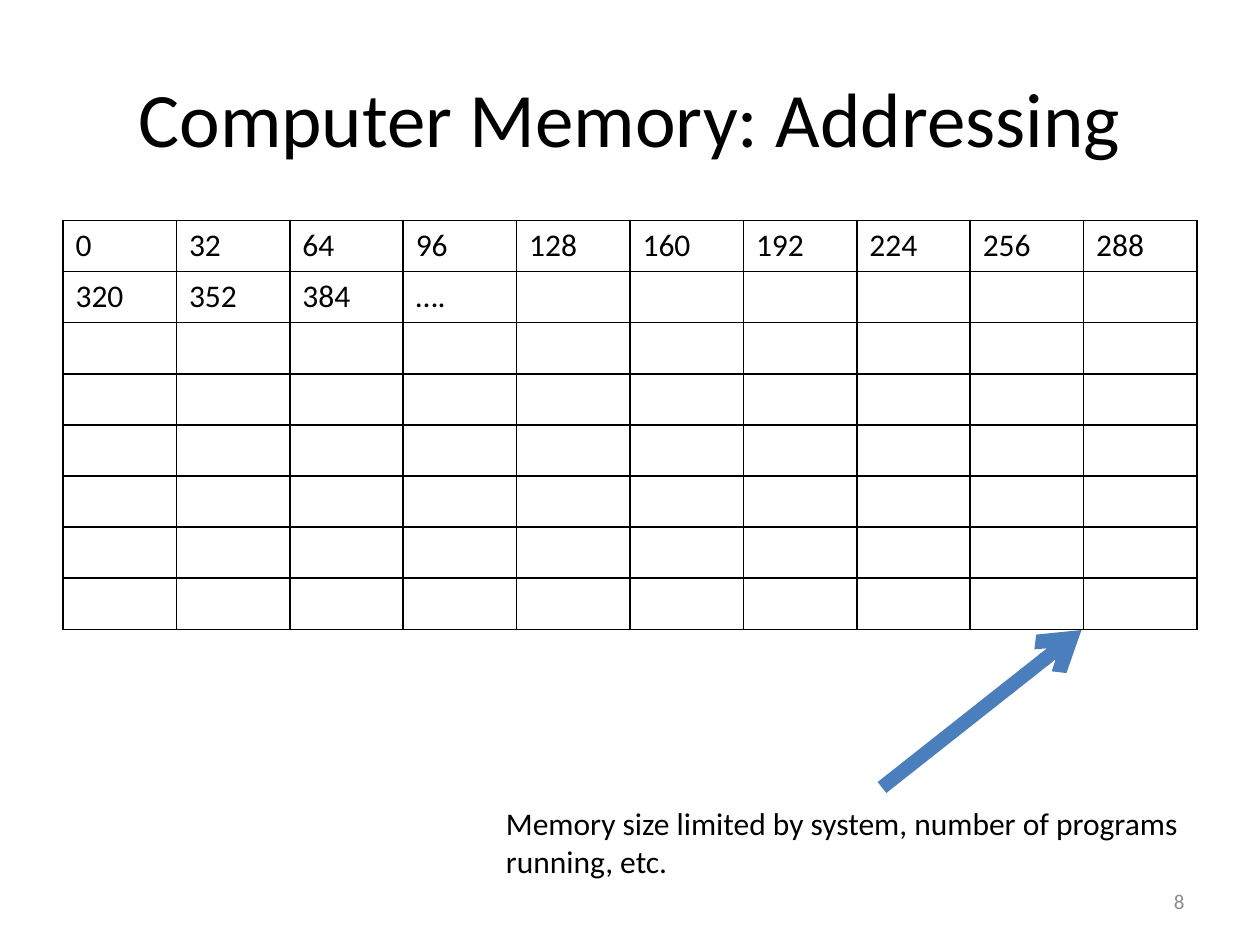
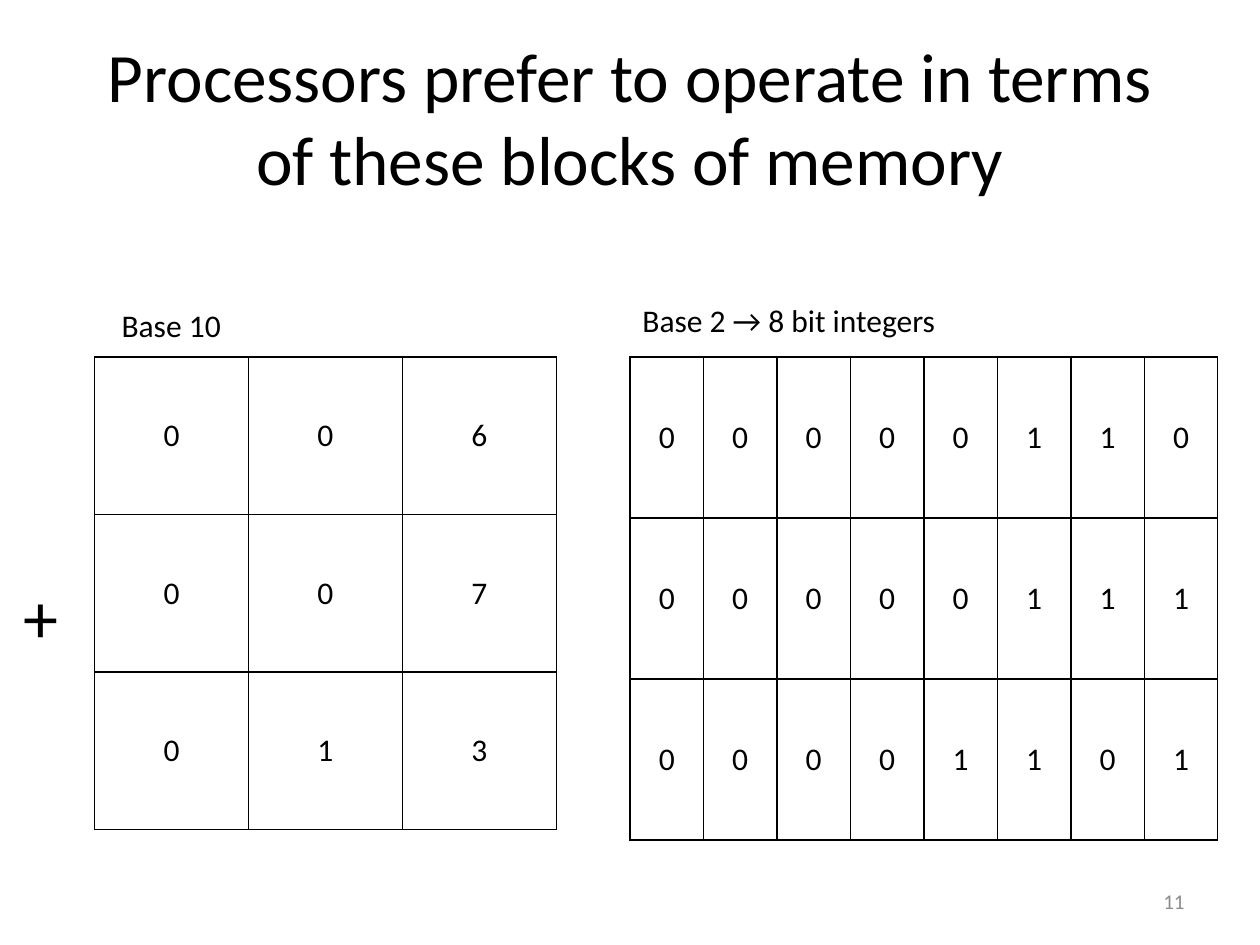
from dataclasses import dataclass
from typing import Any

import pptx
import pptx.dml.color
import pptx.enum.shapes
import pptx.enum.text
import pptx.oxml
import pptx.oxml.ns
import pptx.util

RGBColor = pptx.dml.color.RGBColor
Align = pptx.enum.text.PP_ALIGN
Anchor = pptx.enum.text.MSO_ANCHOR
AutoSize = pptx.enum.text.MSO_AUTO_SIZE

BLACK = RGBColor(0x00, 0x00, 0x00)
WHITE = RGBColor(0xFF, 0xFF, 0xFF)
GREY = RGBColor(0x8C, 0x8C, 0x8C)
ARROW_BLUE = RGBColor(0x4B, 0x7E, 0xBC)
FONT = "Calibri"
BODY_SIZE = 18

# The slide is a grid of 120 columns and 90 rows, all of the same size.
SLIDE_WIDTH = pptx.util.Inches(10)
SLIDE_HEIGHT = pptx.util.Inches(7.5)
COLUMNS, ROWS = 120, 90

BORDER_WIDTH = pptx.util.Pt(1)
BORDER_SIDES = ("lnL", "lnR", "lnT", "lnB")


@dataclass(frozen=True)
class Area:
    """A place on the slide, in grid columns and rows."""
    column: float
    row: float
    columns: float
    rows: float

    def lengths(self) -> tuple[int, int, int, int]:
        return (across(self.column), down(self.row),
                across(self.columns), down(self.rows))


@dataclass(frozen=True)
class Label:
    area: Area
    lines: tuple[str, ...]
    size: float = BODY_SIZE
    color: RGBColor = BLACK
    align: Any = Align.LEFT
    anchor: Any = Anchor.TOP
    wraps: bool = False


@dataclass(frozen=True)
class Grid:
    area: Area
    cells: tuple[tuple[str, ...], ...]
    align: Any = Align.CENTER
    anchor: Any = Anchor.MIDDLE


@dataclass(frozen=True)
class Arrow:
    start: tuple[float, float]
    end: tuple[float, float]
    color: RGBColor
    width: float


TITLE_AREA = Area(6, 3.6, 108, 15)
NUMBER_AREA = Area(86, 83.4, 28, 4.8)

WORD_BITS = 32
ADDRESS_COLUMNS, ADDRESS_ROWS = 10, 8
ADDRESSES = [str(WORD_BITS * word) for word in range(13)] + ["…."]


def across(columns: float) -> int:
    return round(SLIDE_WIDTH * columns / COLUMNS)


def down(rows: float) -> int:
    return round(SLIDE_HEIGHT * rows / ROWS)


def set_values(target: Any, values: dict[str, Any]) -> None:
    for name, value in values.items():
        setattr(target, name, value)


def write(paragraph: Any, text: str, size: float, color: RGBColor, align: Any) -> None:
    paragraph.alignment = align
    if text:
        run = paragraph.add_run()
        run.text = text
        set_values(run.font, {"name": FONT, "size": pptx.util.Pt(size)})
        run.font.color.rgb = color


def draw_label(slide: Any, label: Label) -> None:
    frame = slide.shapes.add_textbox(*label.area.lengths()).text_frame
    set_values(frame, {
        "word_wrap": label.wraps,
        "auto_size": AutoSize.NONE if label.wraps else AutoSize.SHAPE_TO_FIT_TEXT,
        "vertical_anchor": label.anchor,
    })
    for index, line in enumerate(label.lines):
        paragraph = frame.add_paragraph() if index else frame.paragraphs[0]
        write(paragraph, line, label.size, label.color, label.align)


def add_borders(cell: Any) -> None:
    """Put the four side lines ahead of the fill, as the file format asks."""
    properties = cell._tc.get_or_add_tcPr()
    for index, side in enumerate(BORDER_SIDES):
        properties.insert(index, pptx.oxml.parse_xml(
            f'<a:{side} {pptx.oxml.ns.nsdecls("a")} w="{BORDER_WIDTH}">'
            f'<a:solidFill><a:srgbClr val="{BLACK}"/></a:solidFill></a:{side}>'))


def draw_grid(slide: Any, grid: Grid) -> None:
    row_count, column_count = len(grid.cells), len(grid.cells[0])
    table = slide.shapes.add_table(row_count, column_count, *grid.area.lengths()).table
    set_values(table, {"first_row": False, "horz_banding": False})
    for column in table.columns:
        column.width = across(grid.area.columns / column_count)
    for row, texts in zip(table.rows, grid.cells):
        row.height = down(grid.area.rows / row_count)
        for cell, text in zip(row.cells, texts):
            cell.fill.background()
            cell.vertical_anchor = grid.anchor
            write(cell.text_frame.paragraphs[0], text, BODY_SIZE, BLACK, grid.align)
            add_borders(cell)


def draw_arrow(slide: Any, arrow: Arrow) -> None:
    connector = slide.shapes.add_connector(
        pptx.enum.shapes.MSO_CONNECTOR.STRAIGHT,
        across(arrow.start[0]), down(arrow.start[1]),
        across(arrow.end[0]), down(arrow.end[1]))
    connector.line.color.rgb = arrow.color
    connector.line.width = pptx.util.Pt(arrow.width)
    namespace = pptx.oxml.ns.nsdecls("a")
    connector.line._get_or_add_ln().append(
        pptx.oxml.parse_xml(f'<a:tailEnd {namespace} type="arrow"/>'))
    connector._element.spPr.append(pptx.oxml.parse_xml(f"<a:effectLst {namespace}/>"))


def add_slide(presentation: Any, title: str, title_size: float, number: int) -> Any:
    """Add a blank slide with the shared background, title and slide number."""
    slide = presentation.slides.add_slide(presentation.slide_layouts[6])
    slide.background.fill.solid()
    slide.background.fill.fore_color.rgb = WHITE
    draw_label(slide, Label(TITLE_AREA, (title,), title_size, align=Align.CENTER,
                            anchor=Anchor.MIDDLE, wraps=True))
    draw_label(slide, Label(NUMBER_AREA, (str(number),), 12, GREY, Align.RIGHT,
                            Anchor.MIDDLE, wraps=True))
    return slide


def address_rows() -> tuple[tuple[str, ...], ...]:
    blanks = [""] * (ADDRESS_COLUMNS * ADDRESS_ROWS - len(ADDRESSES))
    texts = ADDRESSES + blanks
    return tuple(tuple(texts[start:start + ADDRESS_COLUMNS])
                 for start in range(0, len(texts), ADDRESS_COLUMNS))


def digit_rows(*numbers: str) -> tuple[tuple[str, ...], ...]:
    return tuple(tuple(number) for number in numbers)


def build_addressing(presentation: Any) -> None:
    slide = add_slide(presentation, "Computer Memory: Addressing", 44, 8)
    draw_grid(slide, Grid(Area(6, 21, 108, 38.93), address_rows(),
                          Align.LEFT, Anchor.TOP))
    draw_arrow(slide, Arrow((84, 75), (103, 60), ARROW_BLUE, 8))
    draw_label(slide, Label(Area(47, 76, 68.5, 8.5), (
        "Memory size limited by system, number of programs", "running, etc.")))


def build_blocks(presentation: Any) -> None:
    slide = add_slide(
        presentation,
        "Processors prefer to operate in terms of these blocks of memory", 39.6, 11)
    for grid in (
        Grid(Area(9, 34, 44, 45), digit_rows("006", "007", "013")),
        Grid(Area(60, 34, 56, 46), digit_rows("00000110", "00000111", "00001101")),
    ):
        draw_grid(slide, grid)
    for label in (
        Label(Area(1.1, 54, 5.8, 9.25), ("+",), 40),
        Label(Area(10.4, 28.6, 12, 4.8), ("Base 10",)),
        Label(Area(60, 28.1, 30.8, 4.8), ("Base 2 → 8 bit integers",)),
    ):
        draw_label(slide, label)


def main() -> None:
    presentation = pptx.Presentation()
    set_values(presentation, {"slide_width": SLIDE_WIDTH, "slide_height": SLIDE_HEIGHT})
    build_addressing(presentation)
    build_blocks(presentation)
    presentation.save("out.pptx")


if __name__ == "__main__":
    main()
